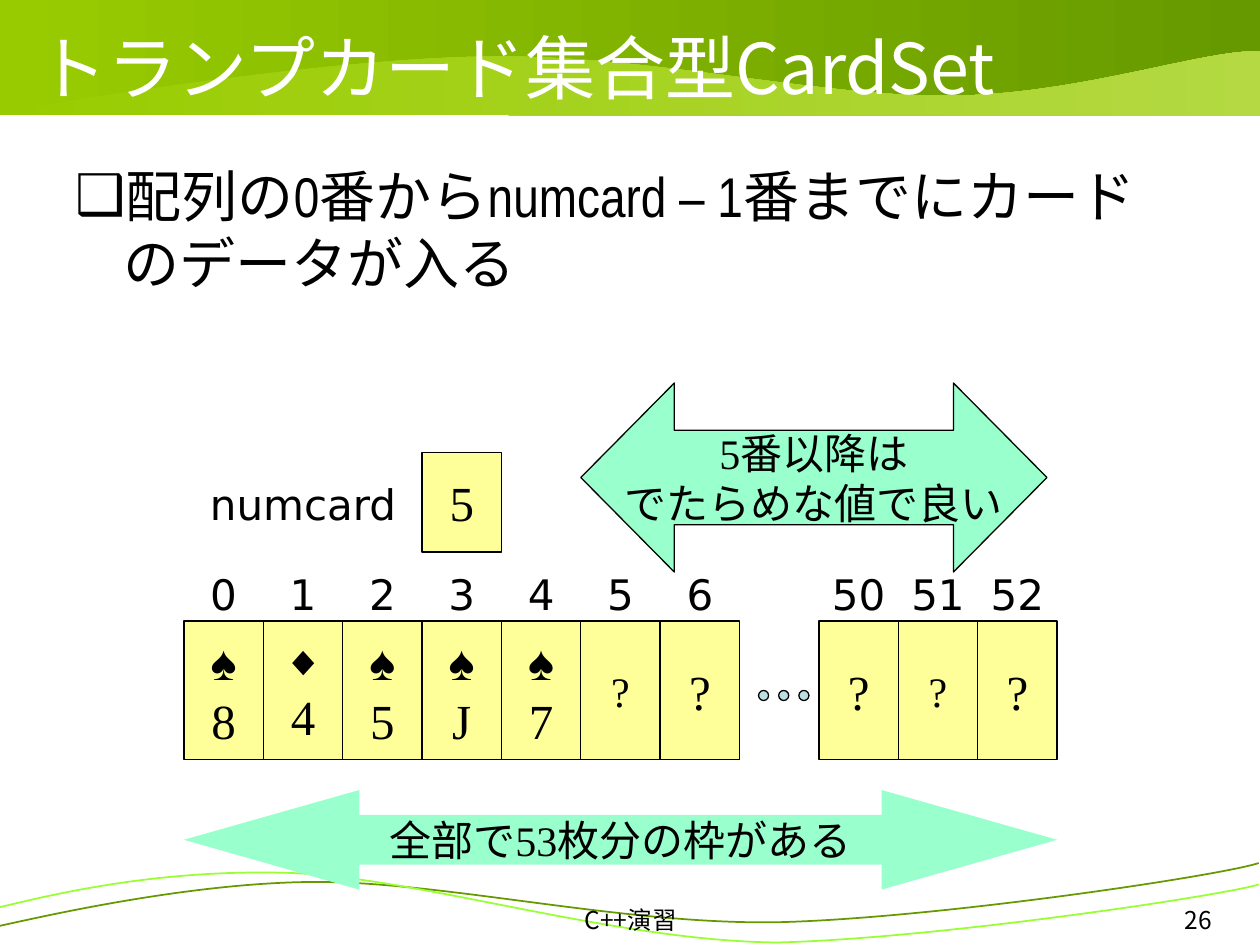
from lxml import etree
from pptx import Presentation
from pptx import util as u
from pptx.dml.color import RGBColor
from pptx.enum import shapes, text
from pptx.oxml.ns import qn

W, H = 10, 7.5
COL, LEFT = 0.63, 1.46          # card grid
INDEX_Y, CARD_Y, CARD_H = 4.46, 4.93, 1.1
UNITS = 1000                    # outline units per inch
NOTO, SERIF, SANS, NARROW = 'Noto Sans CJK JP', 'Times New Roman', 'DejaVu Sans', 'Arial Narrow'
YELLOW, MINT, BLACK = 'FFFF99', '99FFCC', '000000'
LEFT_AL, CENTER, RIGHT = text.PP_ALIGN.LEFT, text.PP_ALIGN.CENTER, text.PP_ALIGN.RIGHT
MIDDLE, TOP = text.MSO_ANCHOR.MIDDLE, text.MSO_ANCHOR.TOP


def rgb(hex_):
    return RGBColor.from_string(hex_)


def box(*lengths):
    return [u.Inches(v) for v in lengths]


def col(i):
    return LEFT + COL * i


def paint(sp, fill=None, line=None, width=0.75):
    """Fill is a hex string or a (from, to) gradient pair."""
    sp.shadow.inherit = False
    if isinstance(fill, tuple):
        sp.fill.gradient()
        sp.fill.gradient_angle = 0
        for stop, c in zip(sp.fill.gradient_stops, fill):
            stop.color.rgb = rgb(c)
    elif fill:
        sp.fill.solid()
        sp.fill.fore_color.rgb = rgb(fill)
    else:
        sp.fill.background()
    if line:
        sp.line.color.rgb = rgb(line)
        sp.line.width = u.Pt(width)
    else:
        sp.line.fill.background()


def write(sp, lines, font, align=CENTER, color=BLACK, east=None, **frame):
    """Lines are (text, size) pairs, one paragraph each."""
    tf = sp.text_frame
    for name, value in {'auto_size': text.MSO_AUTO_SIZE.NONE, **frame}.items():
        setattr(tf, name, value)
    for i, (words, size) in enumerate(lines):
        p = tf.paragraphs[0] if i == 0 else tf.add_paragraph()
        p.alignment = align
        r = p.add_run()
        r.text = words
        for name, value in {'size': u.Pt(size), 'name': font}.items():
            setattr(r.font, name, value)
        r.font.color.rgb = rgb(color)
        r.font._element.find(qn('a:latin')).addnext(
            etree.Element(qn('a:ea'), typeface=east or font))
    return tf


def shape(s, kind, at, fill, line=None, lines=(), adj=(), east=None):
    sp = s.shapes.add_shape(kind, *box(*at))
    paint(sp, fill, line)
    for i, value in enumerate(adj):
        sp.adjustments[i] = value
    if lines:
        write(sp, lines, SERIF, east=east, vertical_anchor=MIDDLE, word_wrap=False)


def label(s, at, words, size=24, font=SANS, align=CENTER, **frame):
    tb = s.shapes.add_textbox(*box(*at))
    write(tb, [(words, size)], font, align, word_wrap=True, **frame)


def wave(s, start, curves, close=False, **look):
    """Smooth outline made of cubic curves (x1, y1, x2, y2, x, y)."""
    knots = [start] + [c[4:] for c in curves]
    x0, y0 = (min(k[a] for k in knots) for a in (0, 1))
    fb = s.shapes.build_freeform(start[0] * UNITS, start[1] * UNITS,
                                 scale=u.Inches(1) / UNITS)
    fb.add_line_segments([(x * UNITS, y * UNITS) for x, y in knots[1:]], close=close)
    sp = fb.convert_to_shape()
    # turn each straight segment into its curve
    for seg, c in zip(list(sp._element.iter(qn('a:lnTo'))), curves):
        bez = etree.Element(qn('a:cubicBezTo'))
        for x, y in zip(c[::2], c[1::2]):
            etree.SubElement(bez, qn('a:pt'), x=str(round((x - x0) * UNITS)),
                             y=str(round((y - y0) * UNITS)))
        seg.getparent().replace(seg, bez)
    paint(sp, **look)


def background(s):
    shape(s, shapes.MSO_SHAPE.RECTANGLE, (0, 0, W, 0.91), ('99CC00', '669900'))
    wave(s, (0, 0.91), [(0.31, 0.82, 2.57, 0.47, 3.82, 0.45),
                        (5.08, 0.42, 6.49, 0.77, 7.52, 0.76),
                        (8.55, 0.76, 9.59, 0.38, 10, 0.41),
                        (10, 0.73, 10, 0.68, 10, 0.92),
                        (9.84, 0.92, 2.08, 0.91, 0, 0.91)],
         close=True, fill=('99CC00', 'B4D943'))
    wave(s, (9.99, 6.85), [(9.69, 6.95, 7.42, 7.29, 6.17, 7.32),
                           (4.92, 7.34, 3.5, 6.99, 2.47, 7),
                           (1.44, 7.01, 0.23, 7.3, -0.01, 7.35)], line='669900', width=1)
    wave(s, (9.99, 7.02), [(9.69, 7.11, 7.42, 7.45, 6.17, 7.48),
                           (4.9, 7.47, 3.38, 6.98, 2.35, 6.93),
                           (1.32, 6.89, 0.49, 7.08, 0, 7.2)], line='99FF33', width=1)


def placeholder(s, ph, at, words, size, font, color, anchor):
    ph.left, ph.top, ph.width, ph.height = box(*at)
    s.shapes._spTree.append(ph._element)   # above the background
    return write(ph, [(words, size)], font, LEFT_AL, color,
                 vertical_anchor=anchor, word_wrap=True).paragraphs[0]


def headings(s):
    title, body = s.placeholders
    placeholder(s, title, (0.2, 0.22, 9.61, 0.61), 'トランプカード集合型CardSet',
                40, NOTO, 'FFFFFF', MIDDLE)
    p = placeholder(s, body, (0.5, 1.23, 9, 5.67),
                    '配列の0番からnumcard – 1番までにカードのデータが入る',
                    32, NARROW, BLACK, TOP)
    p.space_before = u.Pt(8)
    pPr = p._p.get_or_add_pPr()
    pPr.set('marL', str(u.Inches(0.38)))
    pPr.set('indent', str(-u.Inches(0.38)))
    etree.SubElement(pPr, qn('a:buChar'), char='❑')


def cards(s):
    # slot on the grid, index, lines in the card
    row = [(0, '0', [('♠', 28), ('8', 28)]), (1, '1', [('◆', 24), ('4', 28)]),
           (2, '2', [('♠', 28), ('5', 28)]), (3, '3', [('♠', 28), ('J', 28)]),
           (4, '4', [('♠', 28), ('7', 28)]), (5, '5', [('?', 24)]), (6, '6', [('?', 28)]),
           (8, '50', [('?', 28)]), (9, '51', [('?', 24)]), (10, '52', [('?', 28)])]
    for slot, index, lines in row:
        shape(s, shapes.MSO_SHAPE.RECTANGLE, (col(slot), CARD_Y, COL, CARD_H),
              YELLOW, BLACK, lines)
        label(s, (col(slot), INDEX_Y, COL, 0.5), index)
    for i in range(3):
        shape(s, shapes.MSO_SHAPE.OVAL, (6.02 + 0.16 * i, 5.48, 0.08, 0.08), 'BBE0E3', BLACK)
    # card counter
    shape(s, shapes.MSO_SHAPE.RECTANGLE, (col(3), 3.59, COL, 0.79), YELLOW, BLACK, [('5', 28)])
    label(s, (LEFT, 3.75, 3 * COL, 0.5), 'numcard')


def arrows(s):
    kind = shapes.MSO_SHAPE.LEFT_RIGHT_ARROW
    shape(s, kind, (LEFT, 6.27, 11 * COL, 0.79), MINT,
          lines=[('全部で53枚分の枠がある', 24)], adj=(0.5, 1.762), east=NARROW)
    shape(s, kind, (col(5), 3.04, 3.7, 1.5), MINT, BLACK,
          [('5番以降は', 24), ('でたらめな値で良い', 24)], (0.5, 0.495), NARROW)


def footer(s):
    for at, words, align in (((3.42, 7.14, 3.17, 0.22), 'C++演習', CENTER),
                             ((7.39, 7.14, 2.33, 0.22), '26', RIGHT)):
        label(s, at, words, 14, NOTO, align, margin_top=u.Inches(0.04), margin_bottom=0)


def main():
    prs = Presentation()
    prs.slide_width, prs.slide_height = box(W, H)
    s = prs.slides.add_slide(prs.slide_layouts[1])
    for part in (background, footer, headings, cards, arrows):
        part(s)
    prs.save("out.pptx")


main()
